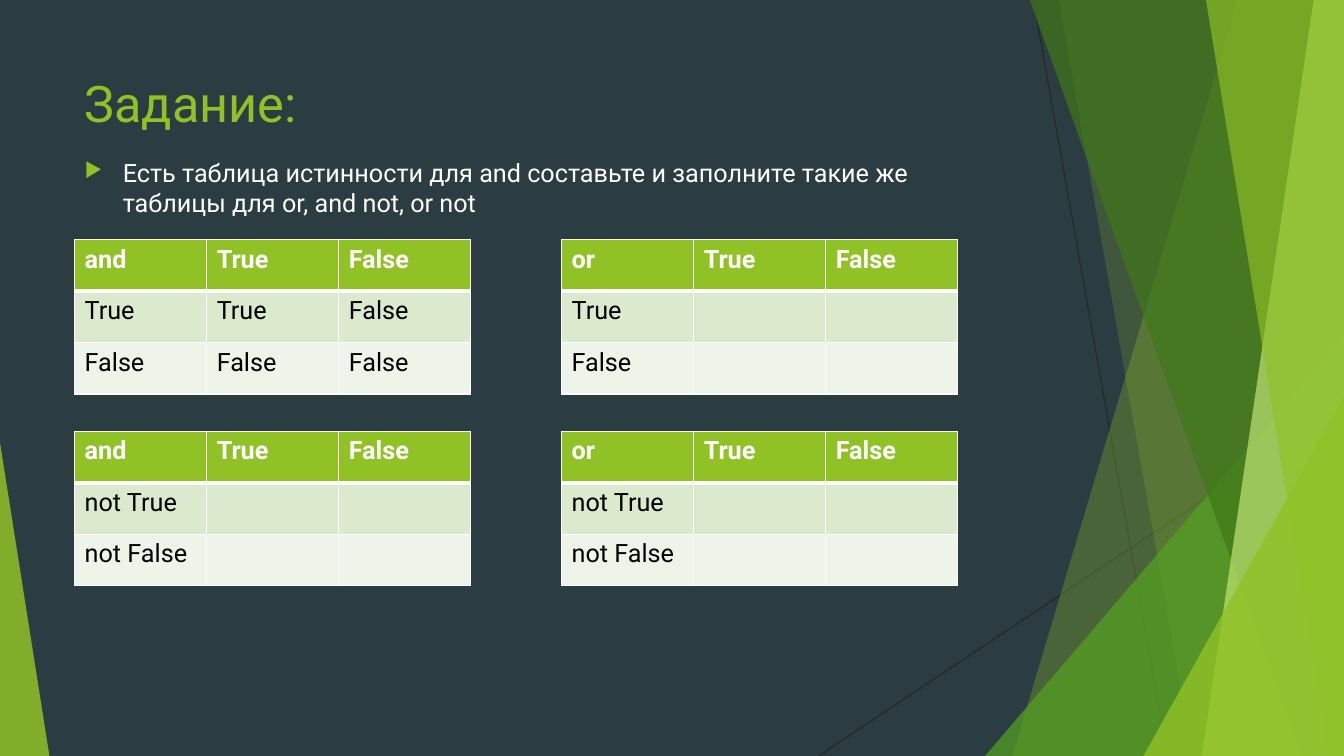
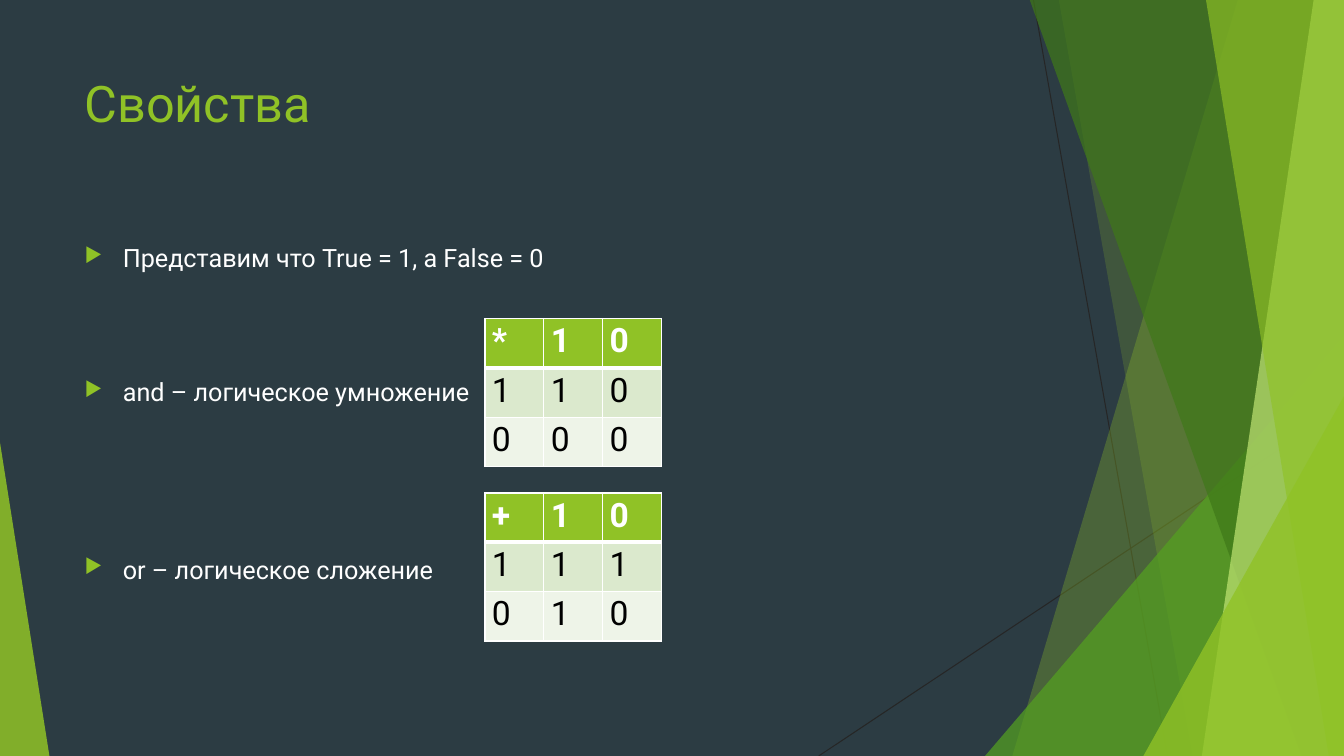
from lxml import etree
from pptx import Presentation
from pptx.dml.color import RGBColor
from pptx.enum.shapes import MSO_CONNECTOR, MSO_SHAPE
from pptx.oxml.ns import qn
from pptx.util import Inches, Pt

STRAIGHT = MSO_CONNECTOR.STRAIGHT
TRIANGLE = MSO_SHAPE.ISOSCELES_TRIANGLE
FONT = "Roboto"
HEX = {
    "back": "2C3C43", "line": "262626", "lime": "90C226", "green": "54A021",
    "dark": "3F7819", "pale": "C0E474", "odd": "DBE9CD", "even": "EEF4E8",
    "white": "FFFFFF", "black": "000000",
}
RGB = {name: RGBColor.from_string(code) for name, code in HEX.items()}
WIDE, HIGH, TOP = 13.33, 7.5, -0.01
LEFT, SPAN = 0.74, 9.4

RAYS = [(10.25, 0, 11.58, HIGH), (WIDE, 4.03, 8.12, HIGH)]
# A band gives the x of its top left and bottom left corners and reaches the
# right edge; a wedge gives left, top, width and apex, and reaches the bottom.
FACETS = [
    ("band", (12.28, 10.04), "lime", 30),
    ("band", (10.5, 11.83), "lime", 20),
    ("wedge", (9.77, 3.33, 3.56, 1), "green", 72),
    ("band", (10.21, 12.91), "dark", 70),
    ("band", (13.03, 11.92), "pale", 70),
    ("band", (11.96, 13.18), "lime", 65),
    ("wedge", (11.34, 3.93, 1.99, 1), "lime", 80),
    ("wedge", (0, 4.39, 0.49, 0), "lime", 85),
]

HEAD = ["True", "False"]
TASKS = [
    [["and", *HEAD], ["True", "True", "False"], ["False", "False", "False"]],
    [["or", *HEAD], ["True", "", ""], ["False", "", ""]],
    [["and", *HEAD], ["not True", "", ""], ["not False", "", ""]],
    [["or", *HEAD], ["not True", "", ""], ["not False", "", ""]],
]
SUMS = [["*10", "110", "000"], ["+10", "111", "010"]]

# Each bullet is its text and the space before it in points.
PAGES = [
    {
        "title": "Задание:", "title_high": 0.85,
        "body": (1.51, 0.78),
        "bullets": [("Есть таблица истинности для and составьте и заполните "
                     "такие же таблицы для or, and not, or not", 10)],
        "grids": [(LEFT + 4.83 * (i % 2), 2.38 + 1.9 * (i // 2), rows)
                  for i, rows in enumerate(TASKS)],
        "cell": (1.31, 0.51), "pad": (0.1, 0.05), "size": 18,
    },
    {
        "title": "Свойства", "title_high": 1.44,
        "body": (2.36, 4.24),
        "bullets": [("Представим что True = 1, а False = 0", 10),
                    ("and – логическое умножение", 74),
                    ("or – логическое сложение", 105)],
        "grids": [(4.81, 3.16 + 1.73 * i, rows)
                  for i, rows in enumerate(SUMS)],
        "cell": (1.75 / 3, 0.49), "pad": (0.07, 0.03), "size": 24,
    },
]


def write(frame, text, size=18, color="white", bold=False, before=0, bullet=False):
    """Add one paragraph to a text frame."""
    para = frame.add_paragraph() if frame.text else frame.paragraphs[0]
    para.space_before = Pt(before)
    run = para.add_run()
    run.text = text
    run.font.name, run.font.size, run.font.bold = FONT, Pt(size), bold
    run.font.color.rgb = RGB[color]
    if bullet:
        props = para._p.get_or_add_pPr()
        props.set("marL", str(Inches(0.38)))
        props.set("indent", str(-Inches(0.38)))
        tint = etree.SubElement(props, qn("a:buClr"))
        etree.SubElement(tint, qn("a:srgbClr"), val=HEX["lime"])
        etree.SubElement(props, qn("a:buSzPct"), val="80000")
        etree.SubElement(props, qn("a:buChar"), char="▶")


def edge(cell, widths):
    """Give a cell white borders; widths are left, right, top, bottom in points."""
    props = cell._tc.get_or_add_tcPr()
    for i, (side, width) in enumerate(zip("LRTB", widths)):
        line = etree.Element(qn(f"a:ln{side}"), w=str(Pt(width)))
        fill = etree.SubElement(line, qn("a:solidFill"))
        etree.SubElement(fill, qn("a:srgbClr"), val=HEX["white"])
        props.insert(i, line)


deck = Presentation()
deck.slide_width, deck.slide_height = Inches(WIDE), Inches(HIGH)

for page in PAGES:
    slide = deck.slides.add_slide(deck.slide_layouts[6])
    shapes = slide.shapes
    slide.background.fill.solid()
    slide.background.fill.fore_color.rgb = RGB["back"]

    for ends in RAYS:
        ray = shapes.add_connector(STRAIGHT, *map(Inches, ends))
        ray.line.color.rgb = RGB["line"]
        ray.line.width = Pt(0.75)
        etree.SubElement(ray.element.spPr, qn("a:effectLst"))

    for kind, place, color, alpha in FACETS:
        if kind == "band":
            top, foot = place
            pen = shapes.build_freeform(Inches(top), Inches(TOP))
            rest = [(WIDE, TOP), (WIDE, HIGH), (foot, HIGH)]
            pen.add_line_segments([(Inches(x), Inches(y)) for x, y in rest])
            facet = pen.convert_to_shape()
        else:
            left, top, width, apex = place
            facet = shapes.add_shape(TRIANGLE, Inches(left), Inches(top),
                                     Inches(width), Inches(HIGH - top))
            facet.adjustments[0] = apex
        facet.shadow.inherit = False
        facet.line.fill.background()
        facet.fill.solid()
        facet.fill.fore_color.rgb = RGB[color]
        tint = facet.element.spPr.find(f"{qn('a:solidFill')}/{qn('a:srgbClr')}")
        etree.SubElement(tint, qn("a:alpha"), val=str(alpha * 1000))

    title = shapes.add_textbox(Inches(LEFT), Inches(0.67), Inches(SPAN),
                               Inches(page["title_high"])).text_frame
    title.word_wrap = True
    write(title, page["title"], size=36, color="lime")

    top, height = page["body"]
    body = shapes.add_textbox(Inches(LEFT), Inches(top), Inches(SPAN),
                              Inches(height)).text_frame
    body.word_wrap = True
    for text, before in page["bullets"]:
        write(body, text, before=before, bullet=True)

    width, height = page["cell"]
    side, rim = map(Inches, page["pad"])
    for left, top, rows in page["grids"]:
        table = shapes.add_table(3, 3, Inches(left), Inches(top),
                                 Inches(3 * width), Inches(3 * height)).table
        table.first_row = table.horz_banding = False
        for col in table.columns:
            col.width = Inches(width)
        for r, row in enumerate(rows):
            table.rows[r].height = Inches(height)
            for c, text in enumerate(row):
                cell = table.cell(r, c)
                cell.margin_left = cell.margin_right = side
                cell.margin_top = cell.margin_bottom = rim
                cell.fill.solid()
                cell.fill.fore_color.rgb = RGB[("lime", "odd", "even")[r]]
                edge(cell, (1, 1, 3 if r == 1 else 1, 3 if r == 0 else 1))
                if text:
                    write(cell.text_frame, text, size=page["size"],
                          color="black" if r else "white", bold=r == 0)

deck.save("out.pptx")
